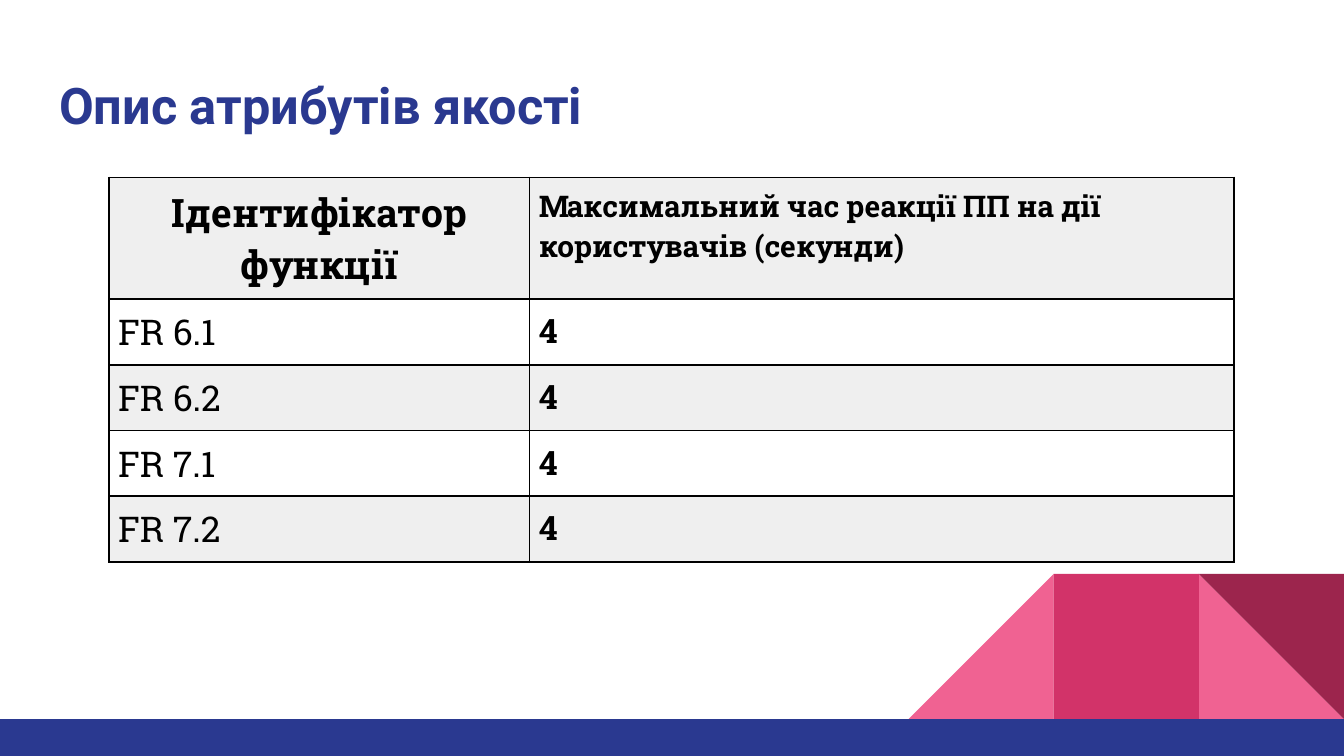
import pptx
import pptx.dml.color
import pptx.enum.shapes
import pptx.enum.text
import pptx.oxml
import pptx.oxml.ns
import pptx.util

RGBColor = pptx.dml.color.RGBColor
Inches = pptx.util.Inches
Pt = pptx.util.Pt
Preset = pptx.enum.shapes.MSO_SHAPE
Align = pptx.enum.text.PP_ALIGN
Anchor = pptx.enum.text.MSO_ANCHOR

NAVY = RGBColor(0x2A, 0x39, 0x90)
PINK = RGBColor(0xF0, 0x62, 0x92)
CRIMSON = RGBColor(0xD2, 0x33, 0x69)
BURGUNDY = RGBColor(0x9C, 0x25, 0x4D)
BAND_GRAY = RGBColor(0xEF, 0xEF, 0xEF)
BLACK = RGBColor(0, 0, 0)

SLIDE_W = Inches(10)
SLIDE_H = SLIDE_W * 9 // 16
TILE = Inches(1.08)
FOOTER_TOP = Inches(5.35)
COLUMN_WIDTHS = (3.13, 5.24)
HEADER_HEIGHT, ROW_HEIGHT = 0.9, 0.48
FUNCTION_IDS = ("FR 6.1", "FR 6.2", "FR 7.1", "FR 7.2")
REACTION_SECONDS = "4"


def set_margins(holder, margin):
    """Give a text frame or a table cell the same margin on all sides."""
    holder.margin_left = holder.margin_right = Inches(margin)
    holder.margin_top = holder.margin_bottom = Inches(margin)


def write_text(frame, text, size, font="Roboto Slab", color=BLACK, bold=True,
               align=Align.LEFT):
    """Fill a text frame, one paragraph per line of the text."""
    frame.text = text
    for paragraph in frame.paragraphs:
        paragraph.alignment = align
        for run in paragraph.runs:
            run.font.name = font
            run.font.size = Pt(size)
            run.font.bold = bold
            run.font.color.rgb = color


def add_block(slide, preset, left, top, width, height, color, rotation=0):
    """Add a plain filled shape without outline."""
    block = slide.shapes.add_shape(preset, left, top, width, height)
    block.shadow.inherit = False
    block.fill.solid()
    block.fill.fore_color.rgb = color
    block.line.fill.background()
    block.rotation = rotation


def add_decoration(slide):
    """Add the corner tiles, counted in columns from the right, and the footer."""
    tiles = (
        (1, Preset.RIGHT_TRIANGLE, PINK, 0),
        (3, Preset.RIGHT_TRIANGLE, PINK, 270),
        (2, Preset.RECTANGLE, CRIMSON, 0),
        (1, Preset.RIGHT_TRIANGLE, BURGUNDY, 180),
    )
    for column, preset, color, rotation in tiles:
        add_block(slide, preset, SLIDE_W - column * TILE, FOOTER_TOP - TILE,
                  TILE, TILE, color, rotation)
    add_block(slide, Preset.RECTANGLE, 0, FOOTER_TOP,
              SLIDE_W, SLIDE_H - FOOTER_TOP, NAVY)


def add_title(slide, text):
    """Place and format the title placeholder."""
    title = slide.shapes.title
    title.left, title.top = Inches(0.34), Inches(0.45)
    title.width, title.height = Inches(9.32), Inches(0.66)
    write_text(title.text_frame, text, 27, font="Roboto", color=NAVY)
    set_margins(title.text_frame, 0.1)
    title.text_frame.word_wrap = True
    title.text_frame.auto_size = pptx.enum.text.MSO_AUTO_SIZE.NONE
    title.text_frame.vertical_anchor = Anchor.MIDDLE


def outline_cell(cell):
    """Draw a thin border on all four sides of a cell."""
    properties = cell._tc.get_or_add_tcPr()
    for side in ("lnL", "lnR", "lnT", "lnB"):
        properties.append(pptx.oxml.parse_xml(
            f'<a:{side} {pptx.oxml.ns.nsdecls("a")} w="{Pt(1)}">'
            f'<a:solidFill><a:srgbClr val="{BLACK}"/></a:solidFill></a:{side}>'))


def style_cell(cell, banded):
    """Set a cell's margins and outline, and shade it in a banded row."""
    set_margins(cell, 0.07)
    outline_cell(cell)
    if banded:
        cell.fill.solid()
        cell.fill.fore_color.rgb = BAND_GRAY
    else:
        cell.fill.background()


def add_quality_table(slide):
    """Add the table of reaction times by function."""
    heights = [HEADER_HEIGHT] + [ROW_HEIGHT] * len(FUNCTION_IDS)
    quality = slide.shapes.add_table(
        len(heights), len(COLUMN_WIDTHS), Inches(0.81), Inches(1.32),
        Inches(sum(COLUMN_WIDTHS)), Inches(sum(heights))).table
    for column, width in zip(quality.columns, COLUMN_WIDTHS):
        column.width = Inches(width)
    for index, height in enumerate(heights):
        quality.rows[index].height = Inches(height)
        for cell in quality.rows[index].cells:
            style_cell(cell, banded=index % 2 == 0)
    write_text(quality.cell(0, 0).text_frame, "Ідентифікатор\nфункції", 21,
               align=Align.CENTER)
    write_text(quality.cell(0, 1).text_frame,
               "Максимальний час реакції ПП на дії\nкористувачів (секунди)", 16)
    for row, function_id in enumerate(FUNCTION_IDS, start=1):
        write_text(quality.cell(row, 0).text_frame, function_id, 19, bold=False)
        write_text(quality.cell(row, 1).text_frame, REACTION_SECONDS, 18)


def main():
    """Build the slide and save it."""
    deck = pptx.Presentation()
    deck.slide_width, deck.slide_height = SLIDE_W, SLIDE_H
    slide = deck.slides.add_slide(deck.slide_layouts[5])
    add_decoration(slide)
    add_title(slide, "Опис атрибутів якості")
    add_quality_table(slide)
    deck.save("out.pptx")


if __name__ == "__main__":
    main()
